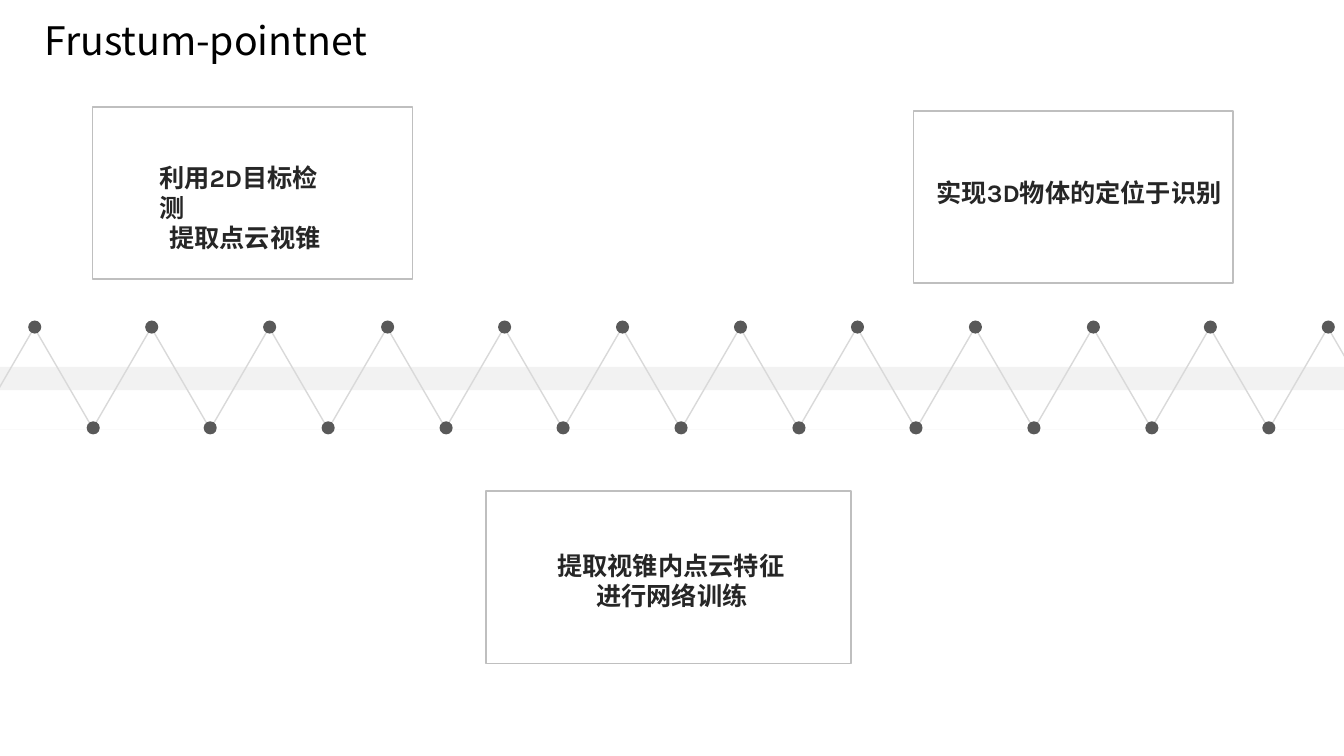
import pptx
import pptx.dml.color
import pptx.enum.shapes
import pptx.enum.text
import pptx.oxml.ns
import pptx.util
import lxml.etree

SHAPE = pptx.enum.shapes.MSO_SHAPE
ALIGN = pptx.enum.text.PP_ALIGN
LEFT, MID = ALIGN.LEFT, ALIGN.CENTER


def px(num):
    return pptx.util.Emu(num * 9144)


def tint(code):
    return pptx.dml.color.RGBColor.from_string(code)


class Deck:
    dark, ink, gray, pale = "595959", "262626", "BFBFBF", "D9D9D9"
    band, white, black = "F2F2F2", "FFFFFF", "000000"
    face, head = "Karla", "Noto Sans CJK SC"

    def __init__(self):
        self.file = pptx.Presentation()
        self.file.slide_width, self.file.slide_height = px(1333), px(750)
        self.slide = self.file.slides.add_slide(self.file.slide_layouts[5])

    def style(self, para, font, size, color, bold):
        for run in para.runs:
            run.font.name = font
            run.font.size = pptx.util.Pt(size)
            run.font.bold = bold
            run.font.color.rgb = tint(color)
            east = lxml.etree.SubElement(run.font._element, pptx.oxml.ns.qn("a:ea"))
            east.set("typeface", font)

    def title(self, text, x, y, w, h):
        box = self.slide.shapes.title
        box.left, box.top, box.width, box.height = map(px, (x, y, w, h))
        frame = box.text_frame
        frame.text = text
        frame.word_wrap = False
        frame.auto_size = pptx.enum.text.MSO_AUTO_SIZE.NONE
        frame.vertical_anchor = pptx.enum.text.MSO_ANCHOR.MIDDLE
        frame.margin_top = frame.margin_bottom = 0
        para = frame.paragraphs[0]
        para.alignment = LEFT
        self.style(para, self.head, 28, self.black, False)

    def shape(self, kind, x, y, w, h, fill=None, line=None):
        item = self.slide.shapes.add_shape(kind, px(x), px(y), px(w), px(h))
        item.shadow.inherit = False
        if fill:
            item.fill.solid()
            item.fill.fore_color.rgb = tint(fill)
        else:
            item.fill.background()
        if line:
            item.line.color.rgb = tint(line)
            item.line.width = pptx.util.Pt(1)
        else:
            item.line.fill.background()

    def rule(self, x, y, end, color, width):
        line = self.slide.shapes.add_connector(
            pptx.enum.shapes.MSO_CONNECTOR.STRAIGHT, px(x), px(y), px(end), px(y))
        line.line.color.rgb = tint(color)
        line.line.width = pptx.util.Pt(width)
        lxml.etree.SubElement(line._element.spPr, pptx.oxml.ns.qn("a:effectLst"))

    def text(self, lines, x, y, w, h):
        box = self.slide.shapes.add_textbox(px(x), px(y), px(w), px(h))
        frame = box.text_frame
        frame.word_wrap = True
        frame.text = "\n".join(lines)
        for row, para in enumerate(frame.paragraphs):
            para.alignment = MID if row else LEFT
            self.style(para, self.face, 18, self.ink, True)

    def wave(self, peaks):
        steps = [350 * i // 3 for i in range(peaks)]
        self.shape(SHAPE.RECTANGLE, 0, 364, 1333, 23, fill=self.band)
        for step in steps:
            self.shape(SHAPE.ISOSCELES_TRIANGLE, step - 24, 325, 116, 100, line=self.pale)
        self.rule(-23, 424, 1374, self.white, 3)
        for x, y, row in ((28, 318, steps), (86, 418, steps[:-1])):
            for step in row:
                self.shape(SHAPE.OVAL, x + step, y, 13, 13, fill=self.dark)


def main():
    deck = Deck()
    deck.title("Frustum-pointnet", 34, 11, 351, 57)
    deck.wave(12)
    cards = (
        ((92, 106, 317, 171), (148, 156, 190, 71), ("利用2D目标检测", "提取点云视锥")),
        ((906, 110, 317, 171), (919, 171, 306, 40), ("实现3D物体的定位于识别",)),
        ((482, 487, 362, 171), (543, 541, 247, 71), ("提取视锥内点云特征", "进行网络训练")),
    )
    for frame, place, lines in cards:
        deck.shape(SHAPE.RECTANGLE, *frame, line=deck.gray)
        deck.text(lines, *place)
    deck.file.save("out.pptx")


if __name__ == "__main__":
    main()
